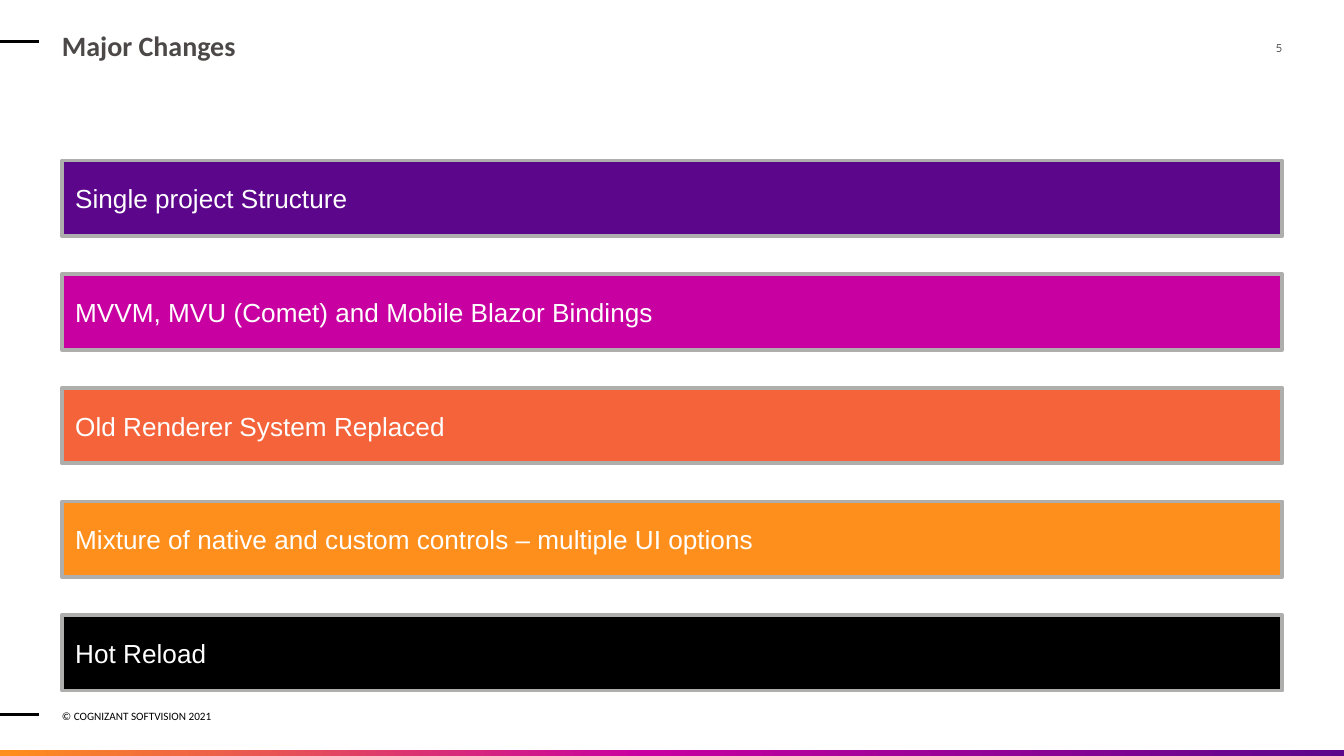
from dataclasses import dataclass
from copy import deepcopy

from lxml.etree import SubElement as Sub
from pptx import Presentation
from pptx.dml.color import RGBColor as RGB
from pptx.enum.shapes import MSO_CONNECTOR as LINK, MSO_SHAPE as SHAPE
from pptx.enum.text import MSO_ANCHOR as ANCHOR, PP_ALIGN as ALIGN
from pptx.oxml.ns import qn
from pptx.util import Pt


@dataclass(frozen=True)
class Theme:
    ink: str = "000000"
    head: str = "4C4848"
    page: str = "212121"
    light: str = "FFFFFF"
    edge: str = "AEAEAD"
    bars: tuple = ("5C068C", "C800A1", "F4633A", "FF8F1C", "000000")
    fade: tuple = ((0, "5C068C"), (0.52, "C800A1"), (1, "FF8F1C"))
    big: float = 15
    body: float = 14
    small: float = 6


LOOK = Theme()
WIDE, HIGH = 720, 405
LEFT, SPAN = 33.2, 653.7
BAR = 40.5
ITEMS = (
    "Single project Structure",
    "MVVM, MVU (Comet) and Mobile Blazor Bindings",
    "Old Renderer System Replaced",
    "Mixture of native and custom controls – multiple UI options",
    "Hot Reload",
)


def assign(obj, form):
    for key, val in form.items():
        setattr(obj, key, val)


def write(frame, text, size, color, face, align=ALIGN.LEFT, bold=False):
    para = frame.paragraphs[0]
    para.alignment = align
    run = para.add_run()
    run.text = text
    assign(run.font, {"size": Pt(size), "name": face, "bold": bold})
    run.font.color.rgb = RGB.from_string(color)


def label(slide, box, text, size, color, face="Calibri",
          anchor=ANCHOR.MIDDLE, **style):
    frame = slide.shapes.add_textbox(*map(Pt, box)).text_frame
    assign(frame, {"margin_left": 0, "margin_right": 0, "margin_top": 0,
                   "margin_bottom": 0, "word_wrap": True,
                   "vertical_anchor": anchor})
    write(frame, text, size, color, face, **style)


def block(slide, box):
    shape = slide.shapes.add_shape(SHAPE.RECTANGLE, *map(Pt, box))
    shape.shadow.inherit = False
    return shape


def tick(slide, y):
    line = slide.shapes.add_connector(LINK.STRAIGHT, 0, Pt(y), Pt(20.9), Pt(y))
    line.line.width = Pt(1.5)
    line.line.color.rgb = RGB.from_string(LOOK.ink)
    Sub(line._element.spPr, qn("a:effectLst"))


def stripe(slide, box):
    shape = block(slide, box)
    shape.line.fill.background()
    fill = shape.fill
    fill.gradient()
    fill.gradient_angle = 180
    # The default gradient has two stops; add the middle one
    first = fill.gradient_stops[0]._gs
    first.addnext(deepcopy(first))
    for stop, (place, color) in zip(fill.gradient_stops, LOOK.fade):
        stop.position = place
        stop.color.rgb = RGB.from_string(color)


def header(slide, box):
    x, y, w, h = box
    tick(slide, y + 8.5)
    label(slide, (x, y, 577.5, h), "Major Changes", LOOK.big, LOOK.head,
          bold=True)
    label(slide, (x + w - 43.2, y + 8.5, 43.2, 31), "5", LOOK.small, LOOK.page,
          "Quicksand", ANCHOR.TOP, align=ALIGN.RIGHT)


def footer(slide, box):
    x, y, w, h = box
    tick(slide, y + 5)
    label(slide, (x, y, 160, 11.5), "© COGNIZANT SOFTVISION 2021",
          LOOK.small, LOOK.ink)
    stripe(slide, (0, y + h - 3.2, w, 3.2))


def bars(slide, box):
    x, y, w, h = box
    step = (h - BAR) / (len(ITEMS) - 1)
    for i, (text, color) in enumerate(zip(ITEMS, LOOK.bars)):
        shape = block(slide, (x, y + i * step, w, BAR))
        shape.fill.solid()
        shape.fill.fore_color.rgb = RGB.from_string(color)
        shape.line.width = Pt(2)
        shape.line.color.rgb = RGB.from_string(LOOK.edge)
        frame = shape.text_frame
        assign(frame, {"word_wrap": True, "vertical_anchor": ANCHOR.MIDDLE})
        write(frame, text, LOOK.body, LOOK.light, "Arial")


def main():
    deck = Presentation()
    assign(deck, {"slide_width": Pt(WIDE), "slide_height": Pt(HIGH)})
    slide = deck.slides.add_slide(deck.slide_layouts[6])
    # Title, page number and top tick
    header(slide, (LEFT, 13.6, SPAN, 21))
    # Five equally spaced bars
    bars(slide, (LEFT, 86, SPAN, 284))
    # Copyright line, lower tick and colour stripe
    footer(slide, (LEFT, 378, WIDE, HIGH - 378))
    deck.save("out.pptx")


if __name__ == "__main__":
    main()
